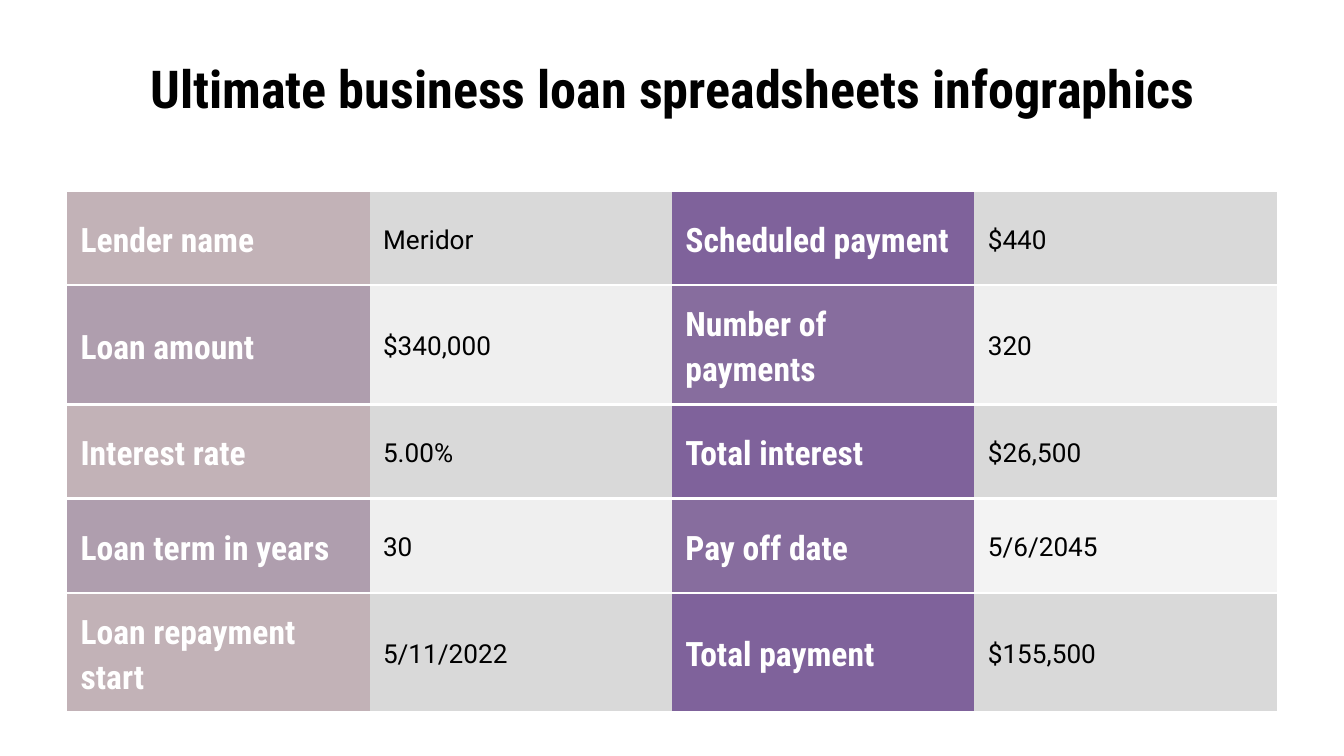
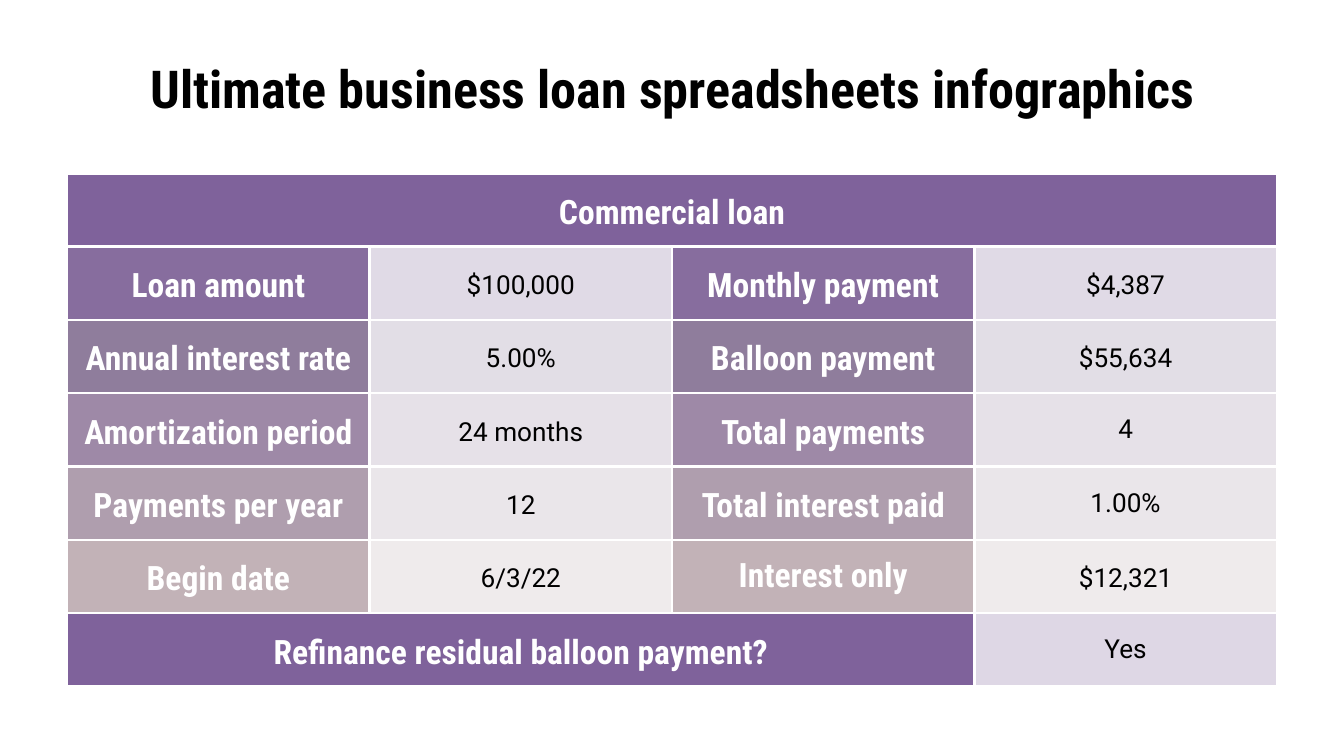
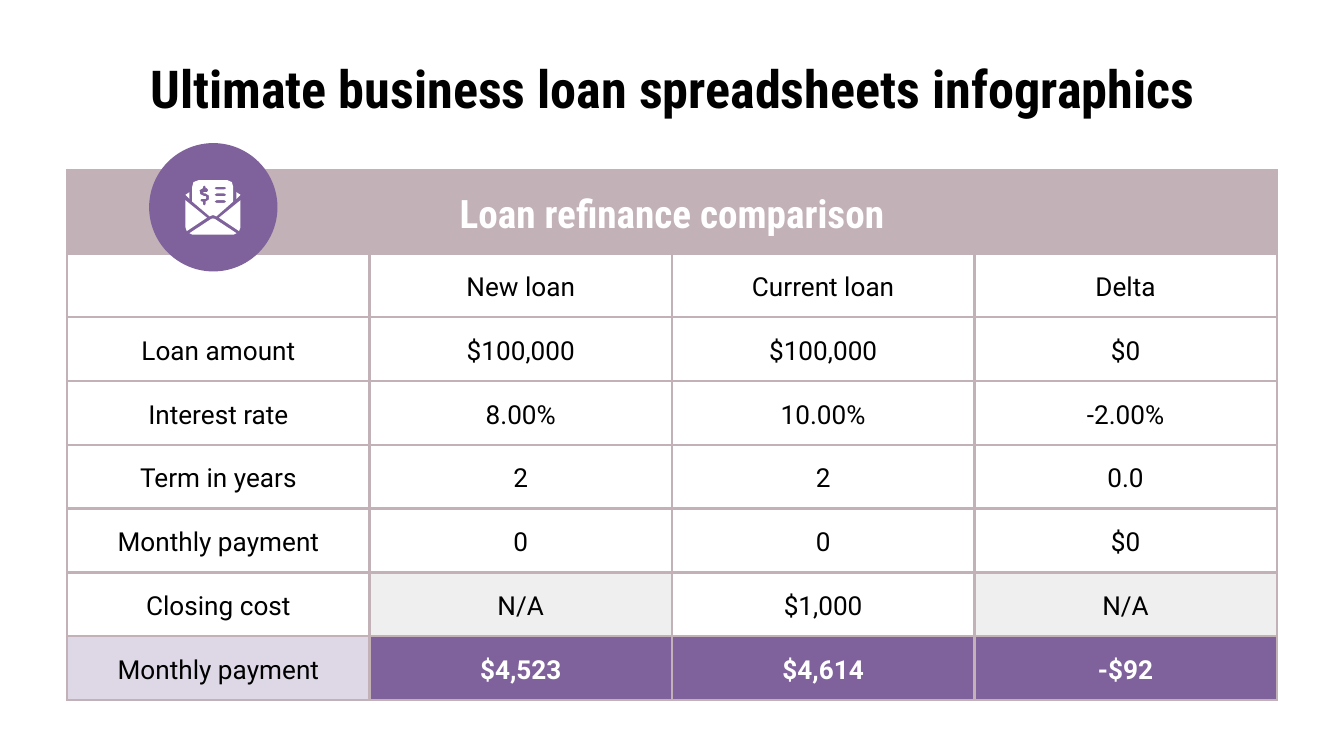
from lxml import etree
from pptx import Presentation
from pptx.dml.color import RGBColor
from pptx.enum.shapes import MSO_SHAPE
from pptx.enum.text import MSO_ANCHOR, PP_ALIGN
from pptx.oxml.ns import qn
from pptx.util import Emu, Pt

LEFT, CENTER = PP_ALIGN.LEFT, PP_ALIGN.CENTER
MIDDLE = MSO_ANCHOR.MIDDLE
OVAL = MSO_SHAPE.OVAL

PX = 4572  # EMU; 200 px to the inch
WHITE = RGBColor(0xFF, 0xFF, 0xFF)
BLACK = RGBColor(0x00, 0x00, 0x00)
PURPLE = RGBColor(0x7F, 0x62, 0x9B)
VIOLET = RGBColor(0x87, 0x6D, 0x9E)
PLUM = RGBColor(0x8F, 0x7D, 0x9C)
LILAC = RGBColor(0x9E, 0x89, 0xA7)
MAUVE = RGBColor(0xAF, 0x9E, 0xAE)
ROSE = RGBColor(0xC2, 0xB2, 0xB7)
GRAY = RGBColor(0xD9, 0xD9, 0xD9)
PALE = RGBColor(0xEF, 0xEF, 0xEF)
PALER = RGBColor(0xF3, 0xF3, 0xF3)

CONDENSED = {"name": "Roboto Condensed", "bold": True}
TITLE = {**CONDENSED, "size": Pt(28), "color": BLACK}
LABEL = {**CONDENSED, "size": Pt(18), "color": WHITE}
BANNER = {**LABEL, "size": Pt(21)}
VALUE = {"name": "Roboto", "size": Pt(14), "bold": False, "color": BLACK}
TOTAL = {**VALUE, "bold": True, "color": WHITE}

TITLE_TEXT = "Ultimate business loan spreadsheets infographics"
TABLE_LEFT, COL_WIDTH, COL_COUNT = 100, 450, 4
INSET = 20
LINE_SPACING = 1.15
TINT = 25  # percent opacity of the light cells


class Deck:
    """Presentation, shared style and the slide being filled."""

    def __init__(self):
        self.prs = Presentation()
        self.prs.slide_width = self.px(2000)
        self.prs.slide_height = self.px(1125)
        self.s = None

    def px(self, n):
        return Emu(n * PX)

    def new_slide(self):
        self.s = self.prs.slides.add_slide(self.prs.slide_layouts[6])

    def text(self, tf, text, fmt, align, spacing=None):
        tf.word_wrap = True
        p = tf.paragraphs[0]
        p.alignment = align
        p.line_spacing = spacing
        r = p.add_run()
        r.text = text
        for key, value in fmt.items():
            if key == "color":
                r.font.color.rgb = value
            else:
                setattr(r.font, key, value)

    def inset(self, target):
        for side in ("left", "right", "top", "bottom"):
            setattr(target, f"margin_{side}", self.px(INSET))
        target.vertical_anchor = MIDDLE

    def title(self):
        box = self.s.shapes.add_textbox(*map(self.px, (100, 90, 1800, 82)))
        self.inset(box.text_frame)
        self.text(box.text_frame, TITLE_TEXT, TITLE, CENTER)

    def border(self, cell, color, sides):
        """Line the named sides (of "LRTB") and clear the others."""
        tc_pr = cell._tc.get_or_add_tcPr()
        for side in "LRTB":
            ln = etree.SubElement(tc_pr, qn(f"a:ln{side}"), w=str(Pt(1.5)))
            if side in sides:
                fill = etree.SubElement(ln, qn("a:solidFill"))
                etree.SubElement(fill, qn("a:srgbClr"), val=str(color))
            else:
                etree.SubElement(ln, qn("a:noFill"))

    def paint(self, cell, color, opacity):
        if color is None:
            cell.fill.background()
            return
        cell.fill.solid()
        cell.fill.fore_color.rgb = color
        if opacity < 100:
            clr = cell._tc.tcPr.find(qn("a:solidFill"))[0]
            etree.SubElement(clr, qn("a:alpha"), val=str(opacity * 1000))

    def table(self, top, heights, rows, line, sides="LRTB", align=CENTER):
        """Fill a table from cell() tuples; None extends the cell to its left."""
        frame = self.s.shapes.add_table(
            len(rows), COL_COUNT, self.px(TABLE_LEFT), self.px(top),
            self.px(COL_WIDTH * COL_COUNT), self.px(sum(heights)))
        table = frame.table
        table.first_row = table.horz_banding = False
        for i, row in enumerate(rows):
            table.rows[i].height = self.px(heights[i])
            for j, content in enumerate(row):
                target = table.cell(i, j)
                self.border(target, line, sides)
                if content is None:
                    continue
                text, fmt, fill, opacity, spacing = content
                self.paint(target, fill, opacity)
                if text:
                    self.inset(target)
                    self.text(target.text_frame, text, fmt, align, spacing)
            for j in range(COL_COUNT):
                end = j
                while end + 1 < COL_COUNT and row[end + 1] is None:
                    end += 1
                if row[j] is not None and end > j:
                    table.cell(i, j).merge(table.cell(i, end))

    def plain(self, sp, color):
        sp.shadow.inherit = False
        sp.fill.solid()
        sp.fill.fore_color.rgb = color
        sp.line.fill.background()

    def circle(self, left, top, size, color):
        sp = self.s.shapes.add_shape(OVAL, *map(self.px, (left, top, size, size)))
        self.plain(sp, color)

    def icon(self, outlines, color):
        """Group of freeforms; contours after the first of an outline are holes."""
        group = self.s.shapes.add_group_shape()
        for contours in outlines:
            builder = group.shapes.build_freeform(*contours[0][0], scale=PX)
            for n, points in enumerate(contours):
                if n:
                    builder.move_to(*points[0])
                builder.add_line_segments(points[1:], close=True)
            self.plain(builder.convert_to_shape(), color)


def cell(text, fmt=VALUE, fill=None, opacity=100, spacing=LINE_SPACING):
    return text, fmt, fill, opacity, spacing


def mirrored(points):
    """Points reflected across the middle of the envelope."""
    return [(634 - x, y) for x, y in points]


def envelope():
    flap = [(282, 286), (276, 290), (282, 296)]
    side = [(276, 298), (276, 338), (278, 344), (308, 324)]
    bottom = [(317, 325), (314, 326), (282, 347), (286, 349),
              (348, 349), (352, 347), (320, 326)]
    paper = [(296, 268), (288, 271), (286, 278), (286, 300), (312, 322),
             (317, 320), (322, 322), (347, 300), (347, 278), (345, 271),
             (338, 268)]
    dollar = [(304, 276), (306, 278), (306, 280), (308, 280), (310, 283),
              (308, 286), (304, 286), (302, 287), (304, 288), (306, 288),
              (311, 291), (311, 297), (306, 300), (306, 304), (304, 306),
              (302, 304), (302, 300), (300, 300), (298, 298), (300, 296),
              (306, 296), (307, 294), (306, 292), (304, 292), (298, 289),
              (297, 283), (302, 280), (302, 278)]
    bars = [[(322, y), (334, y), (337, y + 2), (334, y + 4), (322, y + 4),
             (319, y + 2)] for y in (278, 288, 298)]
    return [[flap], [paper, dollar, *bars], [mirrored(flap)],
            [mirrored(side)], [side], [bottom]]


def loan_summary(deck):
    data = [
        ("Lender name", "Meridor", "Scheduled payment", "$440"),
        ("Loan amount", "$340,000", "Number of payments", "320"),
        ("Interest rate", "5.00%", "Total interest", "$26,500"),
        ("Loan term in years", "30", "Pay off date", "5/6/2045"),
        ("Loan repayment start", "5/11/2022", "Total payment", "$155,500"),
    ]
    bands = [(ROSE, GRAY, PURPLE, GRAY), (MAUVE, PALE, VIOLET, PALE)]
    fills = [bands[i % 2] for i in range(len(data))]
    fills[3] = (MAUVE, PALE, VIOLET, PALER)
    formats = (LABEL, VALUE, LABEL, VALUE)
    rows = [[cell(*content) for content in zip(texts, formats, colors)]
            for texts, colors in zip(data, fills)]
    deck.new_slide()
    deck.title()
    deck.table(284, [140] * len(rows), rows, WHITE, sides="TB", align=LEFT)


def commercial_loan(deck):
    data = [
        (VIOLET, "Loan amount", "$100,000", "Monthly payment", "$4,387"),
        (PLUM, "Annual interest rate", "5.00%", "Balloon payment", "$55,634"),
        (LILAC, "Amortization period", "24 months", "Total payments", "4"),
        (MAUVE, "Payments per year", "12", "Total interest paid", "1.00%"),
        (ROSE, "Begin date", "6/3/22", "Interest only", "$12,321"),
    ]
    single_spaced = ("4", "1.00%", "Interest only")
    rows = [[cell("Commercial loan", LABEL, PURPLE), None, None, None]]
    for color, *texts in data:
        rows.append([
            cell(text, VALUE if j % 2 else LABEL, color, TINT if j % 2 else 100,
                 None if text in single_spaced else LINE_SPACING)
            for j, text in enumerate(texts)])
    rows.append([cell("Refinance residual balloon payment?", LABEL, PURPLE),
                 None, None, cell("Yes", VALUE, PURPLE, TINT, None)])
    deck.new_slide()
    deck.title()
    deck.table(258, [108] * len(rows), rows, WHITE)


def refinance_comparison(deck):
    data = [
        ("", "New loan", "Current loan", "Delta"),
        ("Loan amount", "$100,000", "$100,000", "$0"),
        ("Interest rate", "8.00%", "10.00%", "-2.00%"),
        ("Term in years", "2", "2", "0.0"),
        ("Monthly payment", "0", "0", "$0"),
        ("Closing cost", "N/A", "$1,000", "N/A"),
    ]
    rows = [[cell("Loan refinance comparison", BANNER, ROSE), None, None, None]]
    rows += [[cell(text, fill=PALE if text == "N/A" else None) for text in texts]
             for texts in data]
    rows.append([cell("Monthly payment", VALUE, PURPLE, TINT)]
                + [cell(text, TOTAL, PURPLE)
                   for text in ("$4,523", "$4,614", "-$92")])
    deck.new_slide()
    deck.table(253, [124] + [95] * (len(rows) - 1), rows, ROSE)
    deck.circle(222, 213, 191, PURPLE)
    deck.title()
    deck.icon(envelope(), WHITE)


def main():
    deck = Deck()
    loan_summary(deck)
    commercial_loan(deck)
    refinance_comparison(deck)
    deck.prs.save("out.pptx")


if __name__ == "__main__":
    main()
